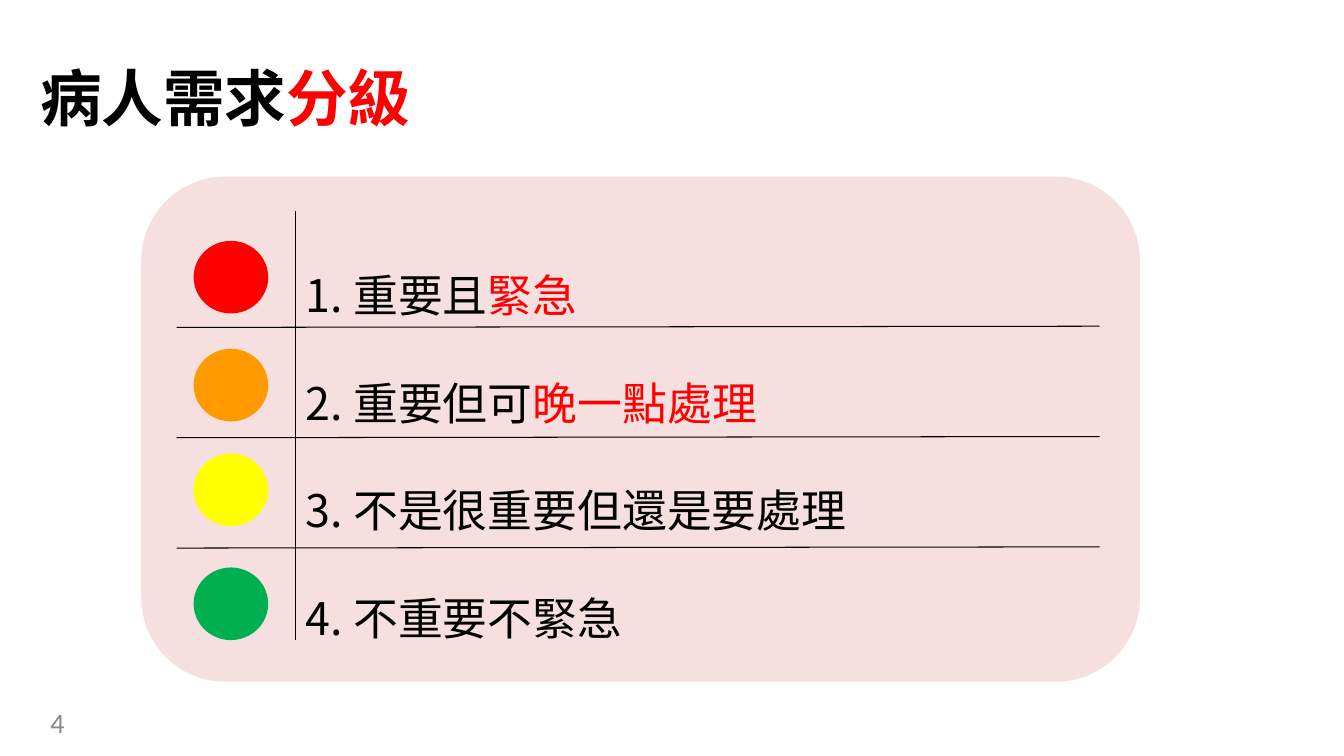
"""Build the slide that ranks patient needs in four colour-coded levels."""
from lxml.etree import SubElement
from pptx import Presentation
from pptx.dml.color import RGBColor
from pptx.enum.shapes import MSO_CONNECTOR, MSO_SHAPE
from pptx.enum.text import MSO_ANCHOR, PP_ALIGN
from pptx.oxml.ns import qn
from pptx.util import Cm, Pt

BLACK = RGBColor(0x00, 0x00, 0x00)
RED = RGBColor(0xFF, 0x00, 0x00)
ORANGE = RGBColor(0xFF, 0x99, 0x00)
YELLOW = RGBColor(0xFF, 0xFF, 0x00)
GREEN = RGBColor(0x00, 0xB0, 0x50)
PINK = RGBColor(0xF5, 0xDF, 0xDF)
GRAY = RGBColor(0x88, 0x88, 0x88)

HEADING = [("病人需求", BLACK), ("分級", RED)]
PAGE_NUMBER = [("4", GRAY)]
LEVELS = [
    (RED, 6.07, [("1. 重要且", BLACK), ("緊急", RED)]),
    (ORANGE, 8.79, [("2. 重要但可", BLACK), ("晚一點處理", RED)]),
    (YELLOW, 11.43, [("3. 不是很重要但還是要處理", BLACK)]),
    (GREEN, 14.3, [("4. 不重要不緊急", BLACK)]),
]

HEADING_FORMAT = {"name": "Noto Sans CJK SC", "size": Pt(44), "bold": True}
LEVEL_FORMAT = {"name": "Noto Sans CJK SC", "size": Pt(32), "bold": False}
NUMBER_FORMAT = {"name": "Calibri", "size": Pt(20), "bold": False}

DIVIDER_LEFT, DIVIDER_RIGHT, DIVIDER_RISE = 4.45, 27.71, 0.03
DIVIDER_TOP, DIVIDER_STEP = 8.25, 2.78
COLUMN_X, COLUMN_TOP, COLUMN_BOTTOM = 7.44, 5.31, 16.13


def write(frame, paragraphs, font_format, spacing, align=PP_ALIGN.LEFT, indent=0):
    frame.word_wrap = True
    frame.vertical_anchor = MSO_ANCHOR.MIDDLE
    for index, parts in enumerate(paragraphs):
        paragraph = frame.add_paragraph() if index else frame.paragraphs[0]
        paragraph.alignment = align
        paragraph.line_spacing = spacing
        paragraph._p.get_or_add_pPr().set("marL", str(Cm(indent)))
        for text, color in parts:
            run = paragraph.add_run()
            run.text = text
            for attribute, value in font_format.items():
                setattr(run.font, attribute, value)
            run.font.color.rgb = color
            SubElement(run._r.rPr, qn("a:ea")).set("typeface", font_format["name"])


def add_filled(slide, preset, box, color):
    figure = slide.shapes.add_shape(preset, *map(Cm, box))
    figure.shadow.inherit = False
    figure.fill.solid()
    figure.fill.fore_color.rgb = color
    figure.line.fill.background()
    return figure


def add_rule(slide, ends):
    rule = slide.shapes.add_connector(MSO_CONNECTOR.STRAIGHT, *map(Cm, ends))
    rule.line.color.rgb = BLACK
    rule.line.width = Pt(0.75)
    SubElement(rule._element.spPr, qn("a:effectLst"))


def main():
    deck = Presentation()
    deck.slide_width, deck.slide_height = Cm(33.87), Cm(19.05)
    slide = deck.slides.add_slide(deck.slide_layouts[6])

    number = slide.shapes.add_textbox(*map(Cm, (0.53, 17.68, 1.35, 1.02)))
    write(number.text_frame, [PAGE_NUMBER], NUMBER_FORMAT, 1, PP_ALIGN.RIGHT)

    panel = add_filled(slide, MSO_SHAPE.ROUNDED_RECTANGLE, (3.56, 4.45, 25.17, 12.73), PINK)
    write(panel.text_frame, [label for _, _, label in LEVELS], LEVEL_FORMAT, 2, indent=3.28)
    for color, top, _ in LEVELS:
        add_filled(slide, MSO_SHAPE.OVAL, (4.88, top, 1.88, 1.83), color)

    heading = slide.shapes.add_textbox(*map(Cm, (0.76, 1.3, 29.21, 2.54)))
    write(heading.text_frame, [HEADING], HEADING_FORMAT, 0.9)

    add_rule(slide, (COLUMN_X, COLUMN_BOTTOM, COLUMN_X, COLUMN_TOP))
    for index in range(len(LEVELS) - 1):
        y = DIVIDER_TOP + index * DIVIDER_STEP
        add_rule(slide, (DIVIDER_LEFT, y, DIVIDER_RIGHT, y - DIVIDER_RISE))

    deck.save("out.pptx")


if __name__ == "__main__":
    main()
